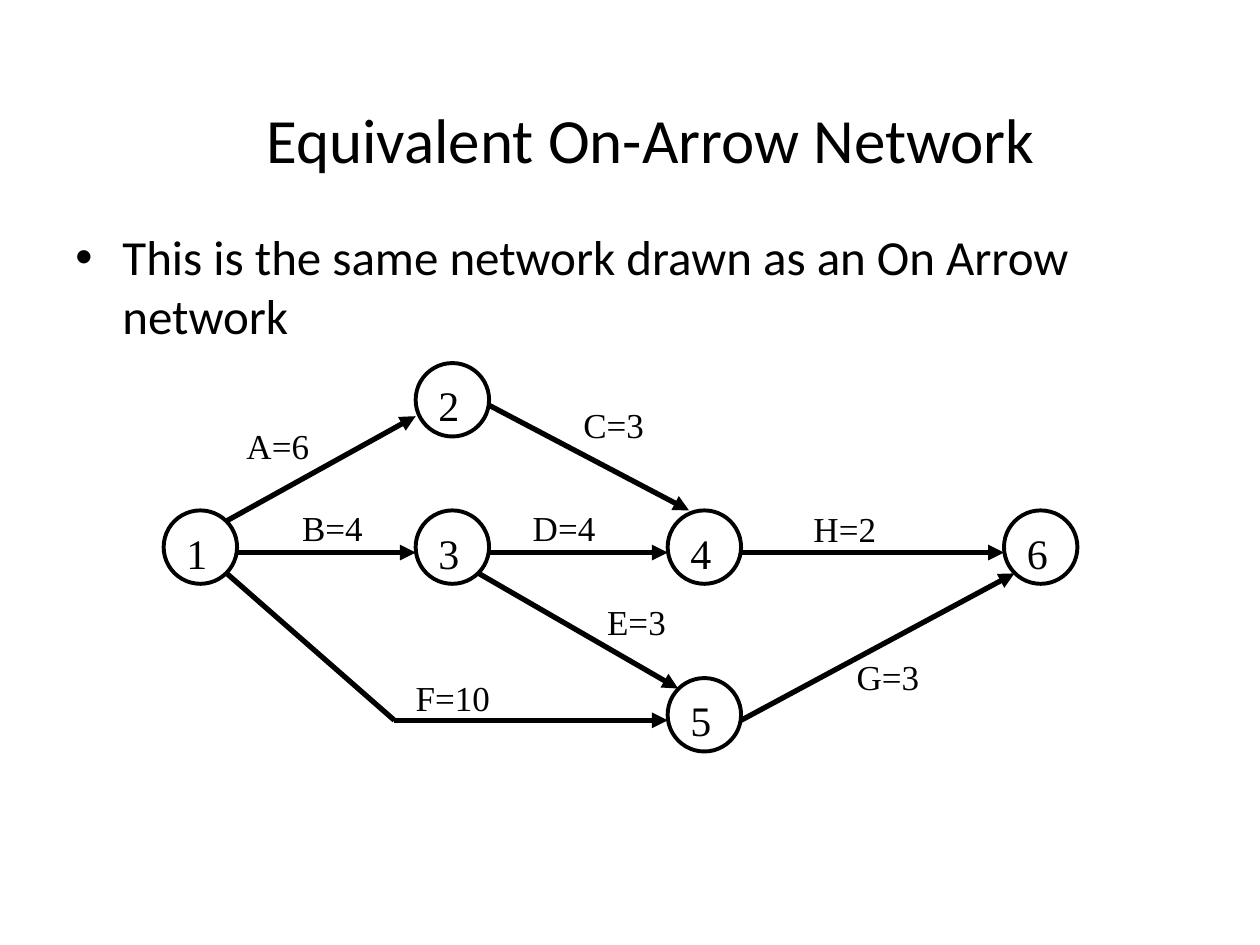
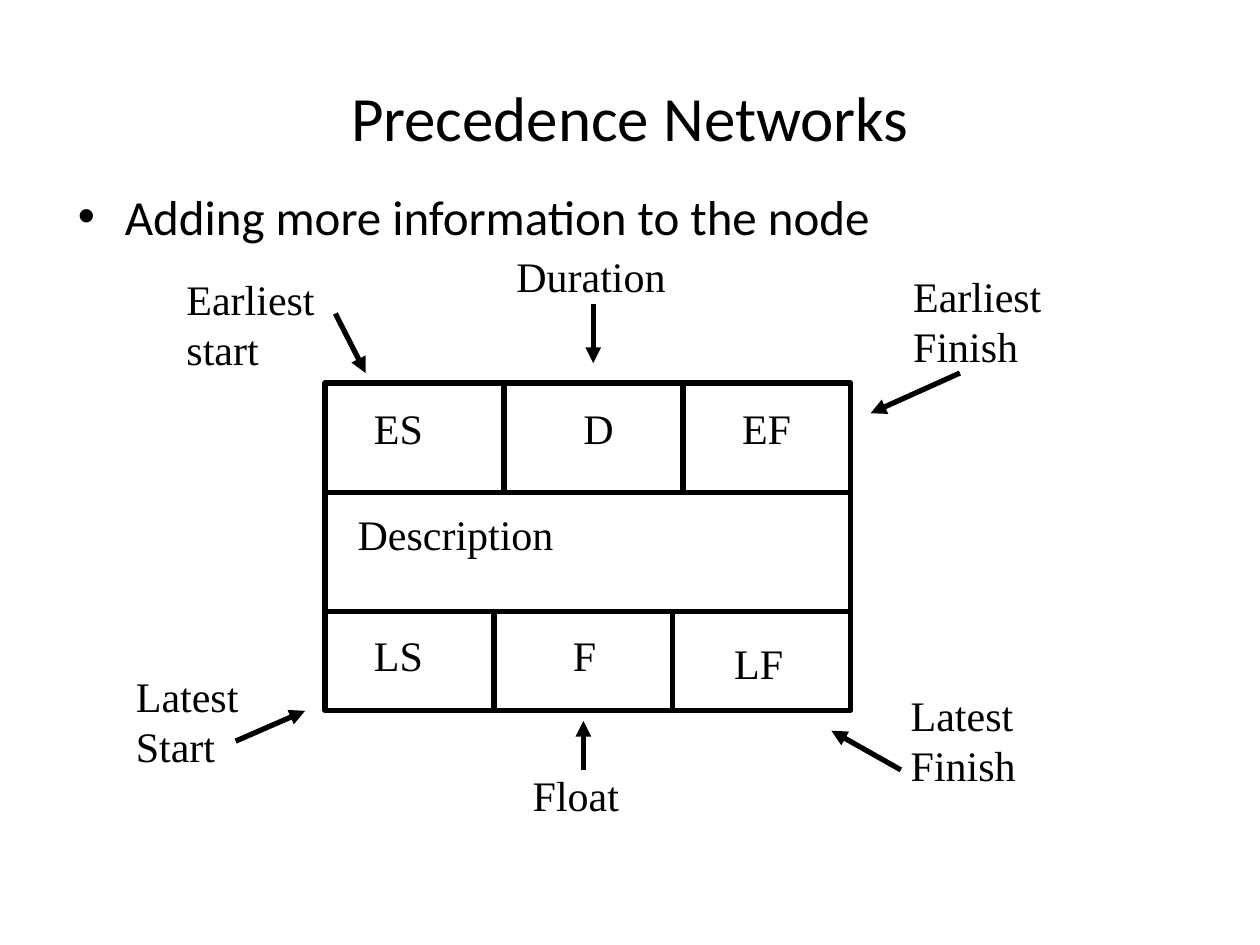
from pptx import Presentation
from pptx.dml.color import RGBColor
from pptx.enum.shapes import MSO_CONNECTOR as Link, MSO_SHAPE as Form
from pptx.enum.text import MSO_ANCHOR as Anchor, MSO_AUTO_SIZE as Fit, PP_ALIGN as Align
from pptx.oxml.ns import qn
from pptx.util import Cm, Pt
from lxml.etree import SubElement

BLACK = RGBColor(0, 0, 0)
SANS, SERIF = "Calibri", "Times New Roman"

NODE_SIZE = 1.48
LEFT, STEP = 3.3, 5.08
TOP, MIDDLE, BOTTOM = 7.32, 10.29, 13.67
NODES = {
    "1": (LEFT, MIDDLE),
    "2": (LEFT + STEP, TOP),
    "3": (LEFT + STEP, MIDDLE),
    "4": (LEFT + 2 * STEP, MIDDLE),
    "5": (LEFT + 2 * STEP, BOTTOM),
    "6": (20.24, MIDDLE),
}
PORTS = {
    "left": (0, 0.85),
    "lower left": (0, 1.07),
    "right": (NODE_SIZE, 0.85),
    "top": (0.43, 0),
    "top left": (0.21, 0.21),
    "top right": (1.27, 0.21),
    "bottom left": (0.21, 1.27),
    "bottom right": (1.27, 1.27),
}
ACTIVITIES = [
    ("1", "top right", "2", "lower left"),
    ("1", "right", "3", "left"),
    ("2", "right", "4", "top"),
    ("3", "right", "4", "left"),
    ("3", "bottom right", "5", "top left"),
    ("4", "right", "6", "left"),
    ("5", "right", "6", "bottom left"),
]
ACTIVITY_LABELS = [
    ("A=6", 4.72, 8.43, 1.78),
    ("B=4", 5.84, 10.08, 1.73),
    ("C=3", 11.51, 8, 1.73),
    ("D=4", 10.49, 10.08, 1.78),
    ("E=3", 11.99, 11.99, 1.7),
    ("F=10", 8.13, 13.51, 2.01),
    ("G=3", 17.02, 13.08, 1.78),
    ("H=2", 16.15, 10.11, 1.78),
]

FRAME_LEFT, FRAME_RIGHT = 6.55, 17.15
FRAME_ROWS = (7.72, 9.93, 12.32, 14.32)
UPPER_DIVIDERS = (10.16, 13.77)
LOWER_DIVIDERS = (9.96, 13.56)
FIELD_LABELS = [
    ("ES", 7.29, 7.98, 1.5),
    ("D", 11.51, 7.98, 1.12),
    ("EF", 14.71, 7.98, 1.5),
    ("Description", 6.96, 10.13, 4.47),
    ("LS", 7.29, 12.57, 1.5),
    ("F", 11.3, 12.57, 0.99),
    ("LF", 14.55, 12.73, 1.5),
    ("Earliest\nstart", 3.51, 5.38, 3.1),
    ("Duration", 10.16, 4.93, 3.53),
    ("Earliest\nFinish", 18.16, 5.33, 3.1),
    ("Latest\nStart", 2.49, 13.39, 2.57),
    ("Latest\nFinish", 18.11, 13.77, 2.62),
    ("Float", 10.49, 15.39, 2.26),
]
POINTERS = [
    ((6.76, 6.32), (7.37, 7.52)),
    ((11.96, 6.12), (11.96, 7.32)),
    ((19.35, 7.52), (17.55, 8.33)),
    ((18.16, 15.52), (16.76, 14.73)),
    ((4.75, 14.94), (6.15, 14.33)),
    ((11.76, 15.52), (11.76, 14.53)),
]


def apply(target, values):
    for name, value in values.items():
        setattr(target, name, value)


class Sketch:
    def __init__(self, deck):
        self.deck = deck
        self.page = None

    def new_page(self):
        self.page = self.deck.slides.add_slide(self.deck.slide_layouts[6])

    def text(self, words, place, font, size, frame_format, para_format):
        box = self.page.shapes.add_textbox(*map(Cm, place))
        frame = box.text_frame
        apply(frame, frame_format)
        for index, line in enumerate(words.split("\n")):
            para = frame.paragraphs[0] if index == 0 else frame.add_paragraph()
            apply(para, para_format)
            span = para.add_run()
            span.text = line
            apply(span.font, {"name": font, "size": Pt(size)})
            span.font.color.rgb = BLACK
        return frame

    def title(self, words, left, top):
        self.text(words, (left, top, 22.86, 3.18), SANS, 36,
                  {"word_wrap": True, "vertical_anchor": Anchor.MIDDLE},
                  {"alignment": Align.CENTER})

    def bullet(self, words, left, top):
        frame = self.text(words, (left, top, 22.86, 12.57), SANS, 28,
                          {"word_wrap": True}, {"space_before": Pt(5.6)})
        for para in frame.paragraphs:
            props = para._p.get_or_add_pPr()
            props.set("marL", str(Cm(0.95)))
            props.set("indent", str(-Cm(0.95)))
            SubElement(props, qn("a:buFont")).set("typeface", "Arial")
            SubElement(props, qn("a:buChar")).set("char", "•")

    def label(self, words, left, top, width, size=24):
        height = 0.25 + size * 0.0425 * len(words.split("\n"))
        self.text(words, (left, top, width, height), SERIF, size,
                  {"word_wrap": False, "auto_size": Fit.SHAPE_TO_FIT_TEXT}, {})

    def outline(self, form, left, top, width, height, weight):
        shape = self.page.shapes.add_shape(form, *map(Cm, (left, top, width, height)))
        shape.shadow.inherit = False
        shape.fill.background()
        shape.line.color.rgb = BLACK
        shape.line.width = Pt(weight)

    def line(self, start, end, arrow=False):
        link = self.page.shapes.add_connector(Link.STRAIGHT, *map(Cm, (*start, *end)))
        link.line.color.rgb = BLACK
        link.line.width = Pt(3)
        props = link._element.spPr
        if arrow:
            SubElement(props.find(qn("a:ln")), qn("a:tailEnd")).set("type", "triangle")
        SubElement(props, qn("a:effectLst"))

    def node(self, number, left, top):
        self.outline(Form.OVAL, left, top, NODE_SIZE, NODE_SIZE, 2.25)
        self.label(number, left + 0.21, top + 0.21, 0.94)


def port(node, side):
    (left, top), (across, down) = NODES[node], PORTS[side]
    return left + across, top + down


def draw_arrow_network(sketch):
    sketch.new_page()
    sketch.bullet("This is the same network drawn as an On Arrow network", 1.27, 4.45)
    for number, place in NODES.items():
        sketch.node(number, *place)
    for source, exit_side, target, entry_side in ACTIVITIES:
        sketch.line(port(source, exit_side), port(target, entry_side), arrow=True)
    arrival = port("5", "left")
    bend = (7.95, arrival[1])
    sketch.line(port("1", "bottom right"), bend)
    sketch.line(bend, arrival, arrow=True)
    for label in ACTIVITY_LABELS:
        sketch.label(*label, size=20)
    sketch.title("Equivalent On-Arrow Network", 1.69, 1.19)


def draw_precedence_node(sketch):
    sketch.new_page()
    sketch.title("Precedence Networks", 1.27, 0.76)
    sketch.bullet("Adding more information to the node", 1.32, 3.63)
    top, upper, lower, bottom = FRAME_ROWS
    sketch.outline(Form.RECTANGLE, FRAME_LEFT, top,
                   FRAME_RIGHT - FRAME_LEFT, bottom - top, 3)
    for row in (upper, lower):
        sketch.line((FRAME_LEFT, row), (FRAME_RIGHT, row))
    for dividers, start, end in ((UPPER_DIVIDERS, top, upper),
                                 (LOWER_DIVIDERS, lower, bottom)):
        for column in dividers:
            sketch.line((column, start), (column, end))
    for label in FIELD_LABELS:
        sketch.label(*label)
    for start, end in POINTERS:
        sketch.line(start, end, arrow=True)


def main():
    deck = Presentation()
    apply(deck, {"slide_width": Cm(25.4), "slide_height": Cm(19.05)})
    sketch = Sketch(deck)
    draw_arrow_network(sketch)
    draw_precedence_node(sketch)
    deck.save("out.pptx")


if __name__ == "__main__":
    main()
